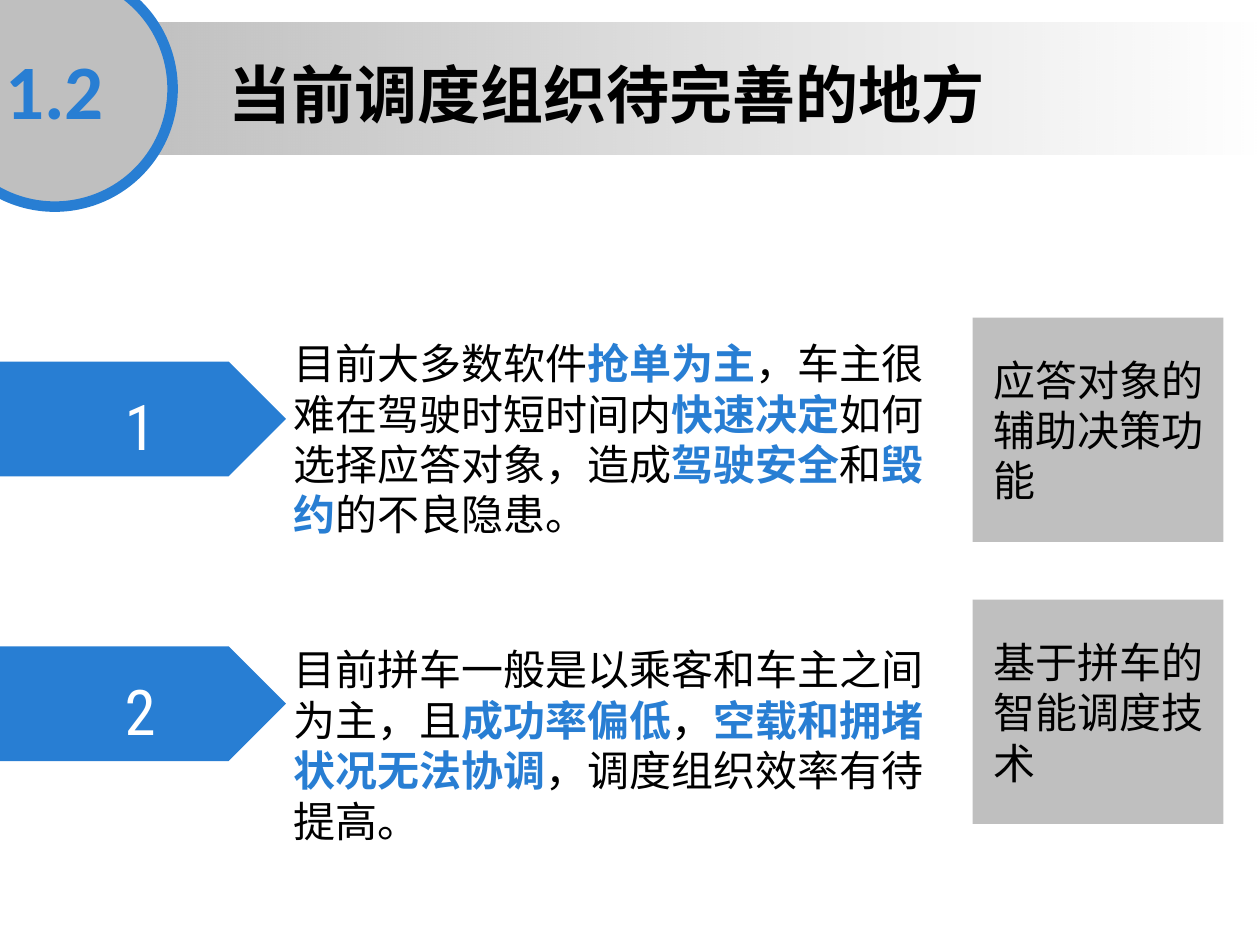
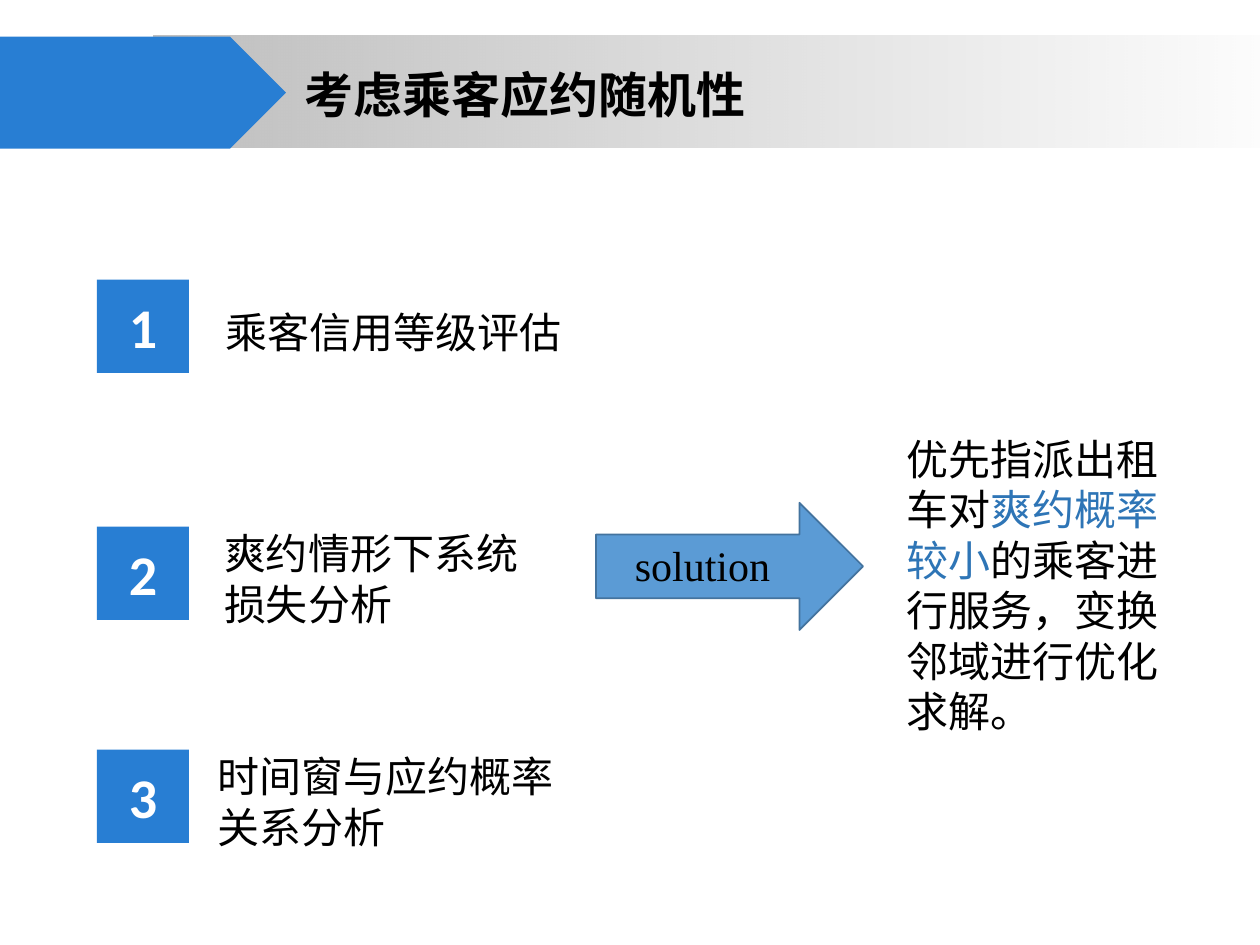
import pptx
import pptx.dml.color
import pptx.enum.shapes
import pptx.enum.text
import pptx.oxml.ns
import pptx.util
from lxml import etree

Inches = pptx.util.Inches
Pt = pptx.util.Pt
SHAPE = pptx.enum.shapes.MSO_SHAPE
ALIGN = pptx.enum.text.PP_ALIGN
ANCHOR = pptx.enum.text.MSO_ANCHOR

COLORS = {
    "blue": "287ED3",
    "gray": "BFBFBF",
    "black": "000000",
    "white": "FFFFFF",
    "accent": "2E75B6",
    "arrow": "5B9BD5",
    "arrow_edge": "43739E",
}
CHINESE = "Noto Sans CJK SC"
LINE_FACTOR = 1.2
TITLE_ONLY = 5


def color(name):
    return pptx.dml.color.RGBColor.from_string(COLORS[name])


def add_block(page, kind, box, fill, line=None, width=1):
    """Add a flat preset shape; box is left, top, width, height in inches."""
    shape = page.shapes.add_shape(kind, *map(Inches, box))
    shape.shadow.inherit = False
    shape.fill.solid()
    shape.fill.fore_color.rgb = color(fill)
    if line:
        shape.line.color.rgb = color(line)
        shape.line.width = Pt(width)
    else:
        shape.line.fill.background()
    return shape


def write(frame, paragraphs, size, font=CHINESE, tint="black", bold=False,
          align=ALIGN.LEFT, anchor=ANCHOR.TOP):
    """Fill a frame; a paragraph is a list of (text, tint, bold) or plain text spans."""
    frame.word_wrap = True
    frame.auto_size = pptx.enum.text.MSO_AUTO_SIZE.NONE
    frame.vertical_anchor = anchor
    if font == CHINESE:
        frame.margin_top = Inches(0.09)
    for index, spans in enumerate(paragraphs):
        para = frame.paragraphs[0] if index == 0 else frame.add_paragraph()
        para.alignment = align
        if font == CHINESE:
            para.line_spacing = Pt(size * LINE_FACTOR)
        for part in spans:
            text, span_tint, span_bold = (part, tint, bold) if isinstance(part, str) else part
            span = para.add_run()
            span.text = text
            span.font.size = Pt(size)
            span.font.name = font
            span.font.bold = span_bold
            span.font.color.rgb = color(span_tint)
            east_asian = etree.SubElement(span.font._element, pptx.oxml.ns.qn("a:ea"))
            east_asian.set("typeface", font)


def add_text(page, box, paragraphs, size=24, **style):
    text_box = page.shapes.add_textbox(*map(Inches, box))
    write(text_box.text_frame, paragraphs, size, **style)
    return text_box


def add_band(page, box):
    """Gray bar fading to transparent on the right."""
    band = add_block(page, SHAPE.RECTANGLE, box, "gray")
    band.fill.gradient()
    band.fill.gradient_angle = 0
    for stop, position in zip(band.fill.gradient_stops, (0, 1)):
        stop.color.rgb = color("gray")
        stop.position = position
    last_color = band._element.findall(".//" + pptx.oxml.ns.qn("a:srgbClr"))[-1]
    etree.SubElement(last_color, pptx.oxml.ns.qn("a:alpha")).set("val", "0")


def set_title(page, box, text, size):
    """Place the title and bring it in front of the band."""
    title = page.shapes.title
    title.left, title.top, title.width, title.height = map(Inches, box)
    write(title.text_frame, [[text]], size, bold=True)
    page.shapes._spTree.append(title._element)


# Slide 1: numbered problems, each with its remedy
def add_section_header(page, number, text):
    add_band(page, (0.86, 0.18, 9.14, 1.05))
    circle = add_block(page, SHAPE.OVAL, (-0.5, -0.23, 1.87, 1.87), "gray", "blue", 6)
    write(circle.text_frame, [[number]], 44, font="Calibri", tint="blue", bold=True,
          align=ALIGN.CENTER, anchor=ANCHOR.MIDDLE)
    set_title(page, (1.71, 0.35, 7.1, 0.71), text, 36)


def add_problem(page, number, top, problem, problem_top, remedy, remedy_top):
    add_block(page, SHAPE.PENTAGON, (0, top, 2.27, 0.91), "blue")
    label = add_text(page, (0.89, top + 0.16, 0.42, 0.71), [[number]], 36,
                     font="Roboto Condensed", tint="white")
    label.text_frame.word_wrap = False
    add_text(page, (2.23, problem_top, 5.32, 1.72), [problem])
    add_block(page, SHAPE.RECTANGLE, (7.72, remedy_top, 1.99, 1.78), "gray")
    add_text(page, (7.79, remedy_top + 0.2, 1.92, 1.3), [[remedy]])


def key(text):
    return text, "blue", True


def build_problems(page):
    add_section_header(page, "1.2", "当前调度组织待完善的地方")
    add_problem(
        page, "1", 2.87,
        ["目前大多数软件", key("抢单为主"), "，车主很难在驾驶时短时间内", key("快速决定"),
         "如何选择应答对象，造成", key("驾驶安全"), "和", key("毁约"), "的不良隐患。"], 2.59,
        "应答对象的辅助决策功能", 2.52)
    add_problem(
        page, "2", 5.13,
        ["目前拼车一般是以乘客和车主之间为主，且", key("成功率偏低"), "，",
         key("空载和拥堵状况无法协调"), "，调度组织效率有待提高。"], 5.02,
        "基于拼车的智能调度技术", 4.76)


# Slide 2: three analyses leading to a solution
def add_topic_header(page, text):
    add_band(page, (1.22, 0.28, 9.14, 0.89))
    add_block(page, SHAPE.PENTAGON, (0, 0.29, 2.27, 0.89), "blue")
    set_title(page, (2.32, 0.42, 4.89, 0.57), text, 28)


def add_analysis(page, number, top, lines, left):
    square = add_block(page, SHAPE.RECTANGLE, (0.77, top, 0.73, 0.74), "blue")
    write(square.text_frame, [[number]], 32, font="Calibri", tint="white", bold=True,
          align=ALIGN.CENTER, anchor=ANCHOR.MIDDLE)
    height = 0.1 + 0.4 * len(lines)
    middle = top + 0.37
    add_text(page, (left, middle - height / 2, 3.2, height), [[line] for line in lines])


def add_solution(page):
    add_block(page, SHAPE.RIGHT_ARROW, (4.73, 3.99, 2.12, 1.01), "arrow", "arrow_edge")
    add_text(page, (4.94, 4.23, 1.34, 0.5), [["solution"]], font="Times New Roman")
    add_text(page, (7.1, 3.35, 2.37, 2.52),
             [["优先指派出租车对", ("爽约概率较小", "accent", False),
               "的乘客进行服务，变换邻域进行优化求解。"]])


def build_analyses(page):
    add_topic_header(page, "考虑乘客应约随机性")
    analyses = [
        (2.22, ["乘客信用等级评估"], 1.69),
        (4.18, ["爽约情形下系统", "损失分析"], 1.68),
        (5.95, ["时间窗与应约概率", "关系分析"], 1.63),
    ]
    for number, (top, lines, left) in enumerate(analyses, 1):
        add_analysis(page, str(number), top, lines, left)
    add_solution(page)


def main():
    deck = pptx.Presentation()
    deck.slide_width, deck.slide_height = Inches(10), Inches(7.5)
    for build in (build_problems, build_analyses):
        build(deck.slides.add_slide(deck.slide_layouts[TITLE_ONLY]))
    deck.save("out.pptx")


if __name__ == "__main__":
    main()
